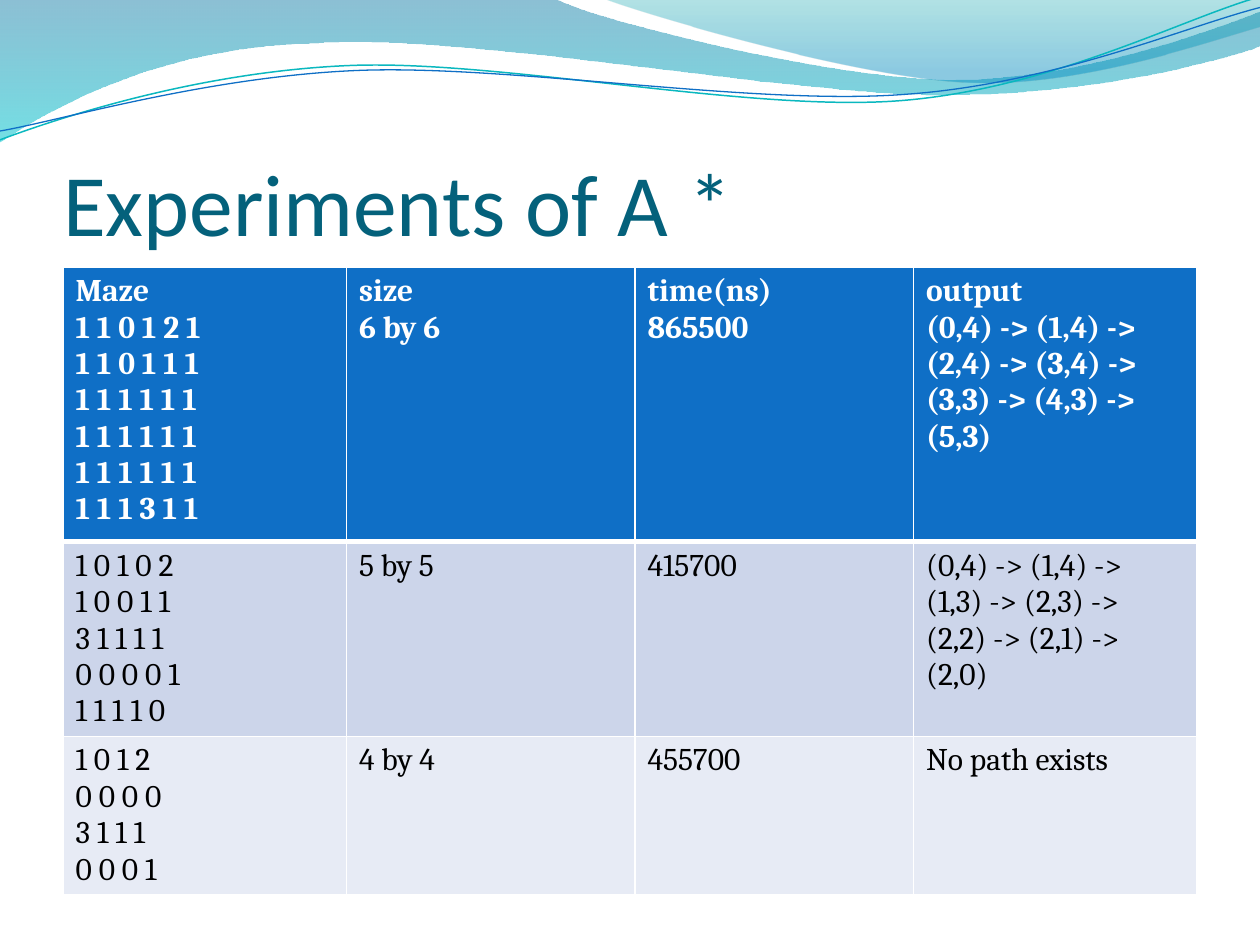
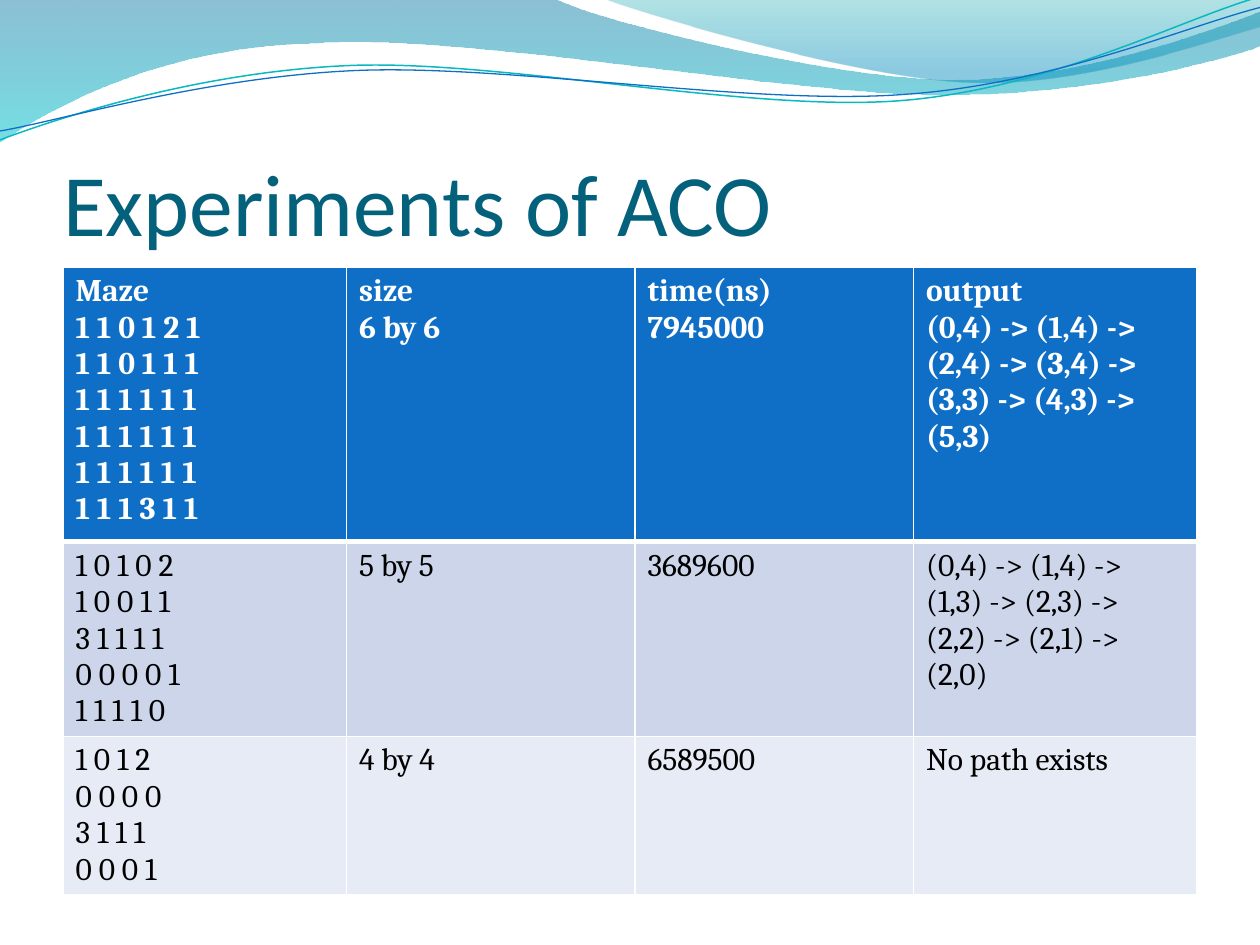
import math

from lxml import etree
from pptx import Presentation
from pptx.dml.color import RGBColor
from pptx.enum.text import MSO_ANCHOR, MSO_AUTO_SIZE, PP_ALIGN
from pptx.oxml.ns import qn
from pptx.util import Inches, Pt

ANCHOR_BOTTOM = MSO_ANCHOR.BOTTOM
ALIGN_LEFT = PP_ALIGN.LEFT
NO_AUTOFIT = MSO_AUTO_SIZE.NONE

TITLE_ONLY = 5
WHITE, BLACK = "FFFFFF", "000000"
TITLE_COLOUR = "04617B"
HEADER_FILL = "0F6FC6"
BODY_FILLS = ["CCD5EA", "E7EBF5"]
TITLE_FONT, TABLE_FONT = "Calibri", "Cambria"
COLUMN_WIDTHS = [2.25, 2.29, 2.21, 2.25]
ROW_HEIGHTS = [2.18, 0.58, 0.58]  # the rows grow with their text

# A segment of two numbers ends a line; six numbers are a cubic curve.
# Gradient stops are position, colour and opacity in percent.
WAVE_BANDS = [
    ([(0, 0), (4.4, -0.01), (4.76, 0.17, 6.64, 0.63, 7.58, 0.63),
      (8.53, 0.63, 9.58, 0.26, 10, 0.09), (10.01, 0.36),
      (9.83, 0.44, 8.7, 0.76, 7.46, 0.75),
      (6.22, 0.75, 3.82, 0.28, 2.57, 0.34),
      (1.29, 0.36, 0.46, 0.83, -0.01, 1.13)],
     [(0, "0074A1", 45), (1, "00C6CF", 55)]),
    ([(4.79, -0.01), (5.09, 0.11, 6.82, 0.62, 7.69, 0.65),
      (8.56, 0.69, 9.61, 0.32, 10, 0.21), (10, 0)],
     [(0, "00A1A9", 30), (0.8, "008BBF", 45)]),
]
WAVE_ROTATION = 357.3
# Each line has its segments, centre of rotation, colour and width.
WAVE_LINES = [
    ([(0, 1.11), (0.48, 0.93, 1.58, 0.57, 2.77, 0.52),
      (3.95, 0.47, 5.93, 0.89, 7.13, 0.8),
      (8.33, 0.71, 9.38, 0.15, 9.98, -0.02)],
     (4.99, 0.58), "0AB8BF", 0.85),
    ([(0, 1.04), (0.47, 0.96, 1.64, 0.61, 2.83, 0.56),
      (4.03, 0.51, 5.97, 0.84, 7.17, 0.75),
      (8.36, 0.67, 9.41, 0.21, 10, 0.06)],
     (5, 0.59), HEADER_FILL, 0.75),
]

MAZES = [
    ["1 1 0 1 2 1", "1 1 0 1 1 1", "1 1 1 1 1 1", "1 1 1 1 1 1",
     "1 1 1 1 1 1", "1 1 1 3 1 1"],
    ["1 0 1 0 2", "1 0 0 1 1", "3 1 1 1 1", "0 0 0 0 1", "1 1 1 1 0"],
    ["1 0 1 2", "0 0 0 0", "3 1 1 1", "0 0 0 1"],
]
SIZES = ["6 by 6", "5 by 5", "4 by 4"]
OUTPUTS = [
    "(0,4) -> (1,4) -> (2,4) -> (3,4) -> (3,3) -> (4,3) -> (5,3)",
    "(0,4) -> (1,4) -> (1,3) -> (2,3) -> (2,2) -> (2,1) -> (2,0)",
    "No path exists",
]
HEADINGS = ["Maze", "size", "time(ns)", "output"]
# Title, times and table height of each slide.
EXPERIMENTS = [
    ("Experiments of A *", ["865500", "415700", "455700"], 4.38),
    ("Experiments of ACO", ["7945000", "3689600", "6589500"], 5.1),
]


def colour(hex_string):
    return RGBColor.from_string(hex_string)


def split_points(segment):
    return list(zip(segment[::2], segment[1::2]))


def rotate(segments, centre, degrees):
    cosine = math.cos(math.radians(degrees))
    sine = math.sin(math.radians(degrees))
    rotated = []
    for segment in segments:
        numbers = []
        for x, y in split_points(segment):
            across, down = x - centre[0], y - centre[1]
            numbers += [centre[0] + across * cosine - down * sine,
                        centre[1] + across * sine + down * cosine]
        rotated.append(numbers)
    return rotated


def bend_curves(shape, segments):
    """Join the three lines of each six-number segment into one curve."""
    lines = iter(list(shape.element.iter(qn("a:lnTo"))))
    for segment in segments[1:]:
        line = next(lines)
        if len(segment) == 6:
            line.tag = qn("a:cubicBezTo")
            for extra in (next(lines), next(lines)):
                line.append(extra[0])
                extra.getparent().remove(extra)


def experiment_rows(times):
    """Return the table's cells as lists of lines; row one has the headings."""
    rows = [[maze, [size], [time], [output]]
            for maze, size, time, output in zip(MAZES, SIZES, times, OUTPUTS)]
    rows[0] = [[heading] + lines for heading, lines in zip(HEADINGS, rows[0])]
    return rows


class Deck:
    def __init__(self):
        self.presentation = Presentation()
        self.presentation.slide_width = Inches(10)
        self.presentation.slide_height = Inches(7.5)
        self.layout = self.presentation.slide_layouts[TITLE_ONLY]
        self.slide = None

    def start_slide(self, title):
        self.slide = self.presentation.slides.add_slide(self.layout)
        if len(self.presentation.slides) == 1:
            self.add_waves_to_layout()
        self.set_title(title)

    def set_title(self, text):
        title = self.slide.shapes.title
        title.left, title.top = Inches(0.5), Inches(0.77)
        title.width, title.height = Inches(9), Inches(1.25)
        frame = title.text_frame
        frame.text = text
        frame.auto_size = NO_AUTOFIT
        frame.vertical_anchor = ANCHOR_BOTTOM
        frame.margin_left = frame.margin_right = frame.margin_bottom = 0
        frame.margin_top = Inches(0.05)
        frame.paragraphs[0].alignment = ALIGN_LEFT
        self.format_runs(frame, TITLE_FONT, 50, TITLE_COLOUR, False)

    def format_runs(self, frame, font_name, size, font_colour, bold):
        for paragraph in frame.paragraphs:
            for run in paragraph.runs:
                run.font.name = font_name
                run.font.size = Pt(size)
                run.font.bold = bold
                run.font.color.rgb = colour(font_colour)

    def add_outline(self, segments, closed):
        start, *others = [(Inches(x), Inches(y)) for segment in segments
                          for x, y in split_points(segment)]
        builder = self.slide.shapes.build_freeform(*start)
        builder.add_line_segments(others, close=closed)
        shape = builder.convert_to_shape()
        bend_curves(shape, segments)
        shape.shadow.inherit = False
        return shape

    def add_band(self, segments, stops):
        band = self.add_outline(segments, True)
        band.line.fill.background()
        band.fill.gradient()
        band.fill.gradient_angle = 270
        elements = band.element.iter(qn("a:gs"))
        for stop, element, (position, hex_string, opacity) in zip(
                band.fill.gradient_stops, elements, stops):
            stop.position = position
            stop.color.rgb = colour(hex_string)
            alpha = etree.SubElement(element[0], qn("a:alpha"))
            alpha.set("val", str(opacity * 1000))
        return band

    def add_curve(self, segments, centre, line_colour, width):
        level = rotate(segments, centre, -WAVE_ROTATION)
        curve = self.add_outline(level, False)
        curve.rotation = WAVE_ROTATION
        curve.fill.background()
        curve.line.color.rgb = colour(line_colour)
        curve.line.width = Pt(width)
        return curve

    def add_waves_to_layout(self):
        """Draw the waves on the current slide, then move them to its layout."""
        waves = [self.add_band(*band) for band in WAVE_BANDS]
        waves += [self.add_curve(*line) for line in WAVE_LINES]
        for index, wave in enumerate(waves):
            properties = next(wave.element.iter(qn("p:cNvPr")))
            properties.set("id", str(100 + index))
            self.layout.shapes.element.insert(2 + index, wave.element)

    def add_table(self, rows, total_height):
        frame = self.slide.shapes.add_table(
            len(rows), len(COLUMN_WIDTHS), Inches(0.5), Inches(2.12),
            Inches(sum(COLUMN_WIDTHS)), Inches(total_height))
        table = frame.table
        for column, width in zip(table.columns, COLUMN_WIDTHS):
            column.width = Inches(width)
        for row, height in zip(table.rows, ROW_HEIGHTS):
            row.height = Inches(height)
        frame.height = Inches(total_height)
        for row_index, row in enumerate(rows):
            for column_index, lines in enumerate(row):
                self.fill_cell(table.cell(row_index, column_index),
                               lines, row_index)

    def fill_cell(self, cell, lines, row_index):
        is_header = row_index == 0
        cell.text_frame.text = "\n".join(lines)
        self.format_runs(cell.text_frame, TABLE_FONT, 18,
                         WHITE if is_header else BLACK, is_header)
        cell.fill.solid()
        cell.fill.fore_color.rgb = colour(
            HEADER_FILL if is_header else BODY_FILLS[row_index - 1])
        self.set_borders(cell, top=3 if row_index == 1 else 1,
                         bottom=3 if is_header else 1)

    def set_borders(self, cell, top, bottom):
        properties = cell._tc.get_or_add_tcPr()
        sides = [("L", 1), ("R", 1), ("T", top), ("B", bottom)]
        for index, (side, width) in enumerate(sides):
            border = etree.Element(qn(f"a:ln{side}"), w=str(Pt(width)))
            fill = etree.SubElement(border, qn("a:solidFill"))
            etree.SubElement(fill, qn("a:srgbClr"), val=WHITE)
            properties.insert(index, border)


def main():
    deck = Deck()
    for title, times, table_height in EXPERIMENTS:
        deck.start_slide(title)
        deck.add_table(experiment_rows(times), table_height)
    deck.presentation.save("out.pptx")


if __name__ == "__main__":
    main()
